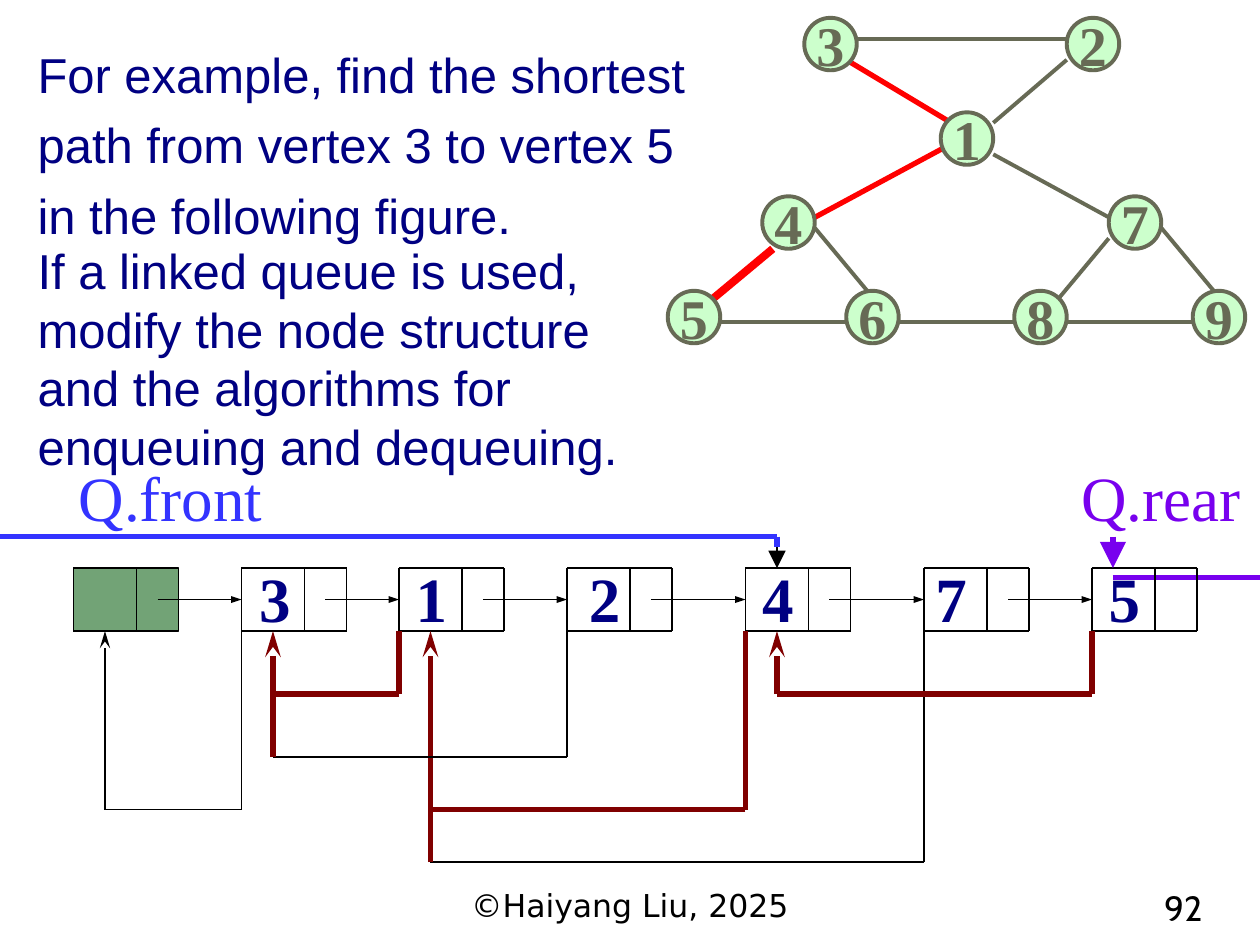
from pptx import Presentation
from pptx.dml.color import RGBColor
from pptx.enum.shapes import MSO_CONNECTOR, MSO_SHAPE
from pptx.enum.text import MSO_ANCHOR, PP_ALIGN
from pptx.oxml.ns import qn
from pptx.util import Emu, Pt
from lxml import etree

SCALE = 7620
STRAIGHT = MSO_CONNECTOR.STRAIGHT
OVAL, RECT = MSO_SHAPE.OVAL, MSO_SHAPE.RECTANGLE
LEFT, MID, RIGHT = PP_ALIGN.LEFT, PP_ALIGN.CENTER, PP_ALIGN.RIGHT
CENTER = MSO_ANCHOR.MIDDLE

NAVY = RGBColor(0x00, 0x00, 0x82)
OLIVE = RGBColor(0x67, 0x6A, 0x55)
MINT = RGBColor(0xCC, 0xFF, 0xCC)
GREEN = RGBColor(0x72, 0xA3, 0x76)
RED = RGBColor(0xFF, 0x00, 0x00)
MAROON = RGBColor(0x80, 0x00, 0x00)
BLUE = RGBColor(0x33, 0x33, 0xFF)
PURPLE = RGBColor(0x78, 0x00, 0xEE)
BLACK = RGBColor(0x00, 0x00, 0x00)
SERIF = "Times New Roman"

NEXT = ("triangle", "sm", "med")
DOWN = ("triangle", "lg", "lg")
BACK = ("stealth", "med", "lg")

NODES = {3: (766, 17), 2: (1016, 17), 1: (896, 107), 4: (726, 187), 7: (1056, 187),
         5: (636, 277), 6: (806, 277), 8: (966, 277), 9: (1136, 277)}
SIZE = 50
EDGES = [
    (816, 37, 1016, 37, OLIVE, 2.25),
    (1016, 57, 946, 117, OLIVE, 2.25),
    (806, 57, 906, 117, RED, 3),
    (906, 137, 776, 207, RED, 3),
    (946, 147, 1056, 207, OLIVE, 2.25),
    (1056, 227, 1006, 287, OLIVE, 2.25),
    (1106, 217, 1156, 277, OLIVE, 2.25),
    (736, 237, 676, 287, RED, 4.5),
    (686, 307, 816, 307, OLIVE, 2.25),
    (856, 307, 966, 307, OLIVE, 2.25),
    (1016, 307, 1136, 307, OLIVE, 2.25),
    (776, 217, 826, 277, OLIVE, 2.25),
]
CELLS = [70, 230, 380, 540, 710, 880, 1040]
TOP, BASE = 541, 601
WIDE, SPLIT = 100, 60
LINKS = [
    (880, 410, 821, BLACK, MAROON),
    (710, 410, 771, MAROON, None),
    (540, 260, 721, BLACK, MAROON),
    (230, 100, 771, BLACK, BLACK),
    (380, 260, 661, MAROON, None),
    (1040, 740, 661, MAROON, MAROON),
]


def write(frame, runs, font=SERIF, size=36, color=BLACK, bold=False,
          align=LEFT, gap=None, tabs=()):
    para = frame.paragraphs[0]
    para.alignment = align
    if gap:
        para.line_spacing = gap
    if tabs:
        stops = etree.SubElement(para._p.get_or_add_pPr(), qn("a:tabLst"))
        for stop in tabs:
            etree.SubElement(stops, qn("a:tab"), pos=str(stop * SCALE), algn="l")
    if isinstance(runs, str):
        runs = [(runs, color)]
    for words, hue in runs:
        run = para.add_run()
        run.text = words
        run.font.name = font
        run.font.size = Pt(size)
        run.font.bold = bold
        run.font.color.rgb = hue


def width(color):
    return 1 if color == BLACK else 3


class Pen:
    def __init__(self, slide):
        self.shapes = slide.shapes

    def line(self, x1, y1, x2, y2, color=BLACK, weight=1, head=None):
        ends = [Emu(v * SCALE) for v in (x1, y1, x2, y2)]
        item = self.shapes.add_connector(STRAIGHT, *ends)
        item.line.color.rgb = color
        item.line.width = Pt(weight)
        if head:
            kind, wide, long = head
            etree.SubElement(item.line._get_or_add_ln(), qn("a:tailEnd"),
                             type=kind, w=wide, len=long)
        etree.SubElement(item._element.spPr, qn("a:effectLst"))

    def shape(self, kind, x, y, w, h, fill, color, weight):
        item = self.shapes.add_shape(kind, *[Emu(v * SCALE) for v in (x, y, w, h)])
        item.shadow.inherit = False
        item.fill.solid()
        item.fill.fore_color.rgb = fill
        item.line.color.rgb = color
        item.line.width = Pt(weight)
        return item

    def text(self, x, y, w, h, runs, **style):
        box = self.shapes.add_textbox(*[Emu(v * SCALE) for v in (x, y, w, h)])
        box.text_frame.word_wrap = True
        write(box.text_frame, runs, **style)

    def node(self, name, x, y):
        item = self.shape(OVAL, x, y, SIZE, SIZE, MINT, OLIVE, 2.25)
        frame = item.text_frame
        frame.word_wrap = False
        frame.vertical_anchor = CENTER
        write(frame, str(name), size=32, color=OLIVE, bold=True, align=MID)

    def cell(self, x):
        for step in (0, SPLIT, WIDE):
            self.line(x + step, TOP, x + step, BASE)
        for y in (TOP, BASE):
            self.line(x, y, x + WIDE, y)

    def link(self, start, end, depth, color, rise):
        self.line(start, BASE, start, depth, color, width(color))
        self.line(start, depth, end, depth, color, width(color))
        if rise:
            self.line(end, depth, end, BASE, rise, width(rise), BACK)


def main():
    deck = Presentation()
    deck.slide_width, deck.slide_height = Emu(1200 * SCALE), Emu(900 * SCALE)
    pen = Pen(deck.slides.add_slide(deck.slide_layouts[6]))

    pen.text(24, 25, 646, 216,
             "For example, find the shortest path from vertex 3 to vertex 5 "
             "in the following figure.",
             font="Arial", size=28, color=NAVY, gap=1.2)
    pen.text(24, 223, 625, 238,
             "If a linked queue is used, modify the node structure and the "
             "algorithms for enqueuing and dequeuing.",
             font="Arial", size=28, color=NAVY)
    for edge in EDGES:
        pen.line(*edge)
    for name, (x, y) in NODES.items():
        pen.node(name, x, y)

    pen.line(1060, 550, 1200, 550, PURPLE, 3)
    pen.text(235, 527, 885, 84, "3\t1\t2\t4\t7\t5", color=NAVY, bold=True,
             tabs=[149 + 165 * i for i in range(5)])
    pen.shape(RECT, CELLS[0], TOP, WIDE, BASE - TOP, GREEN, BLACK, 1)
    for x in CELLS:
        pen.cell(x)
    for link in LINKS:
        pen.link(*link)
    for x, goal in zip(CELLS, CELLS[1:]):
        pen.line(x + 80, 571, goal, 571, head=NEXT)

    pen.line(0, 511, 740, 511, BLUE, 3)
    pen.line(740, 521, 740, TOP, head=DOWN)
    pen.line(740, 511, 740, 521, BLUE, 3)
    pen.line(1060, 511, 1060, TOP, PURPLE, 3, DOWN)
    pen.text(63, 431, 1137, 84, [("Q.front\t", BLUE), ("Q.rear", PURPLE)], tabs=[955])

    pen.text(410, 838, 380, 47, "©Haiyang Liu, 2025",
             font="DejaVu Sans", size=18, align=MID)
    pen.text(973, 838, 184, 47, "92", font="Cabin", size=20, align=RIGHT)
    deck.save("out.pptx")


if __name__ == "__main__":
    main()
